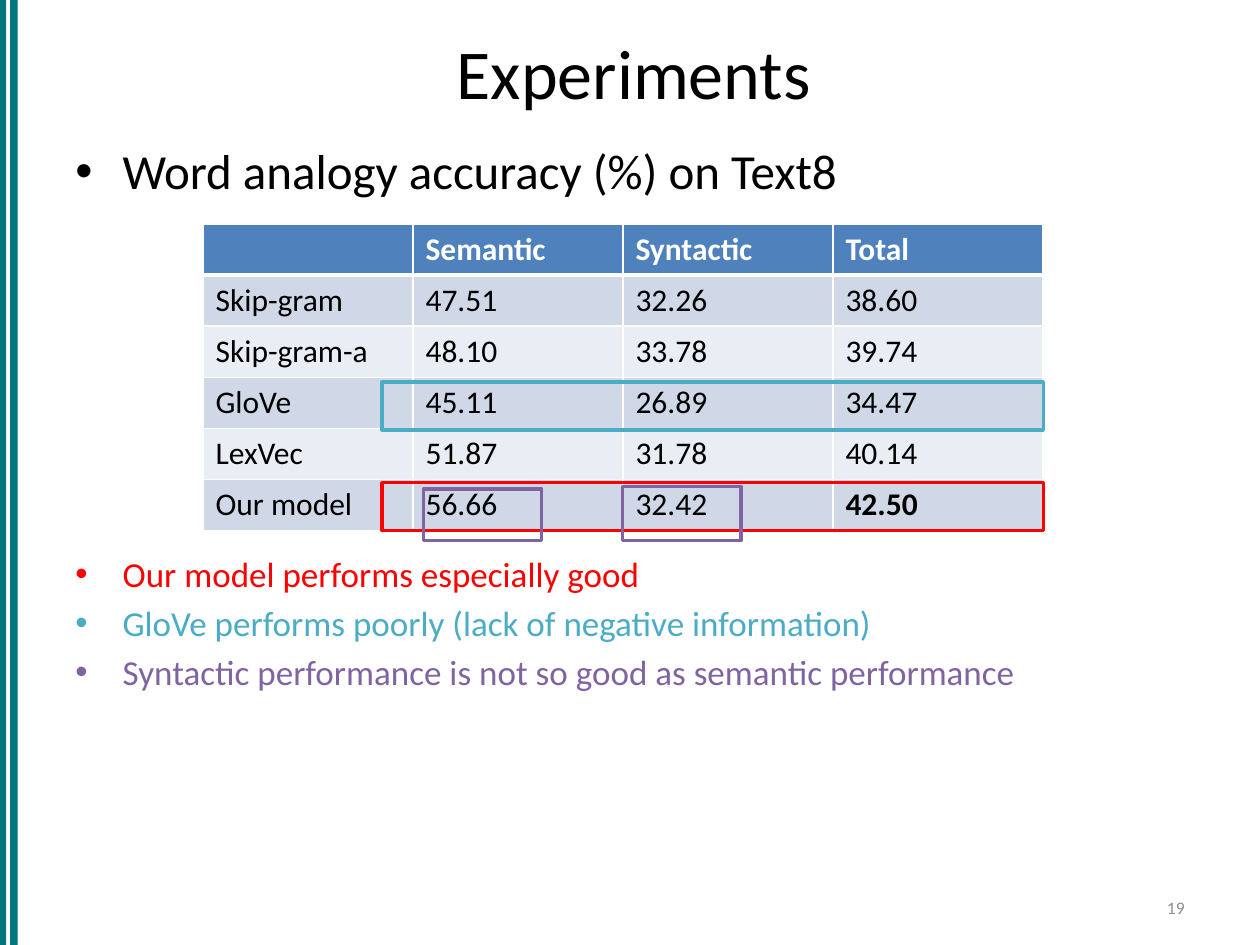
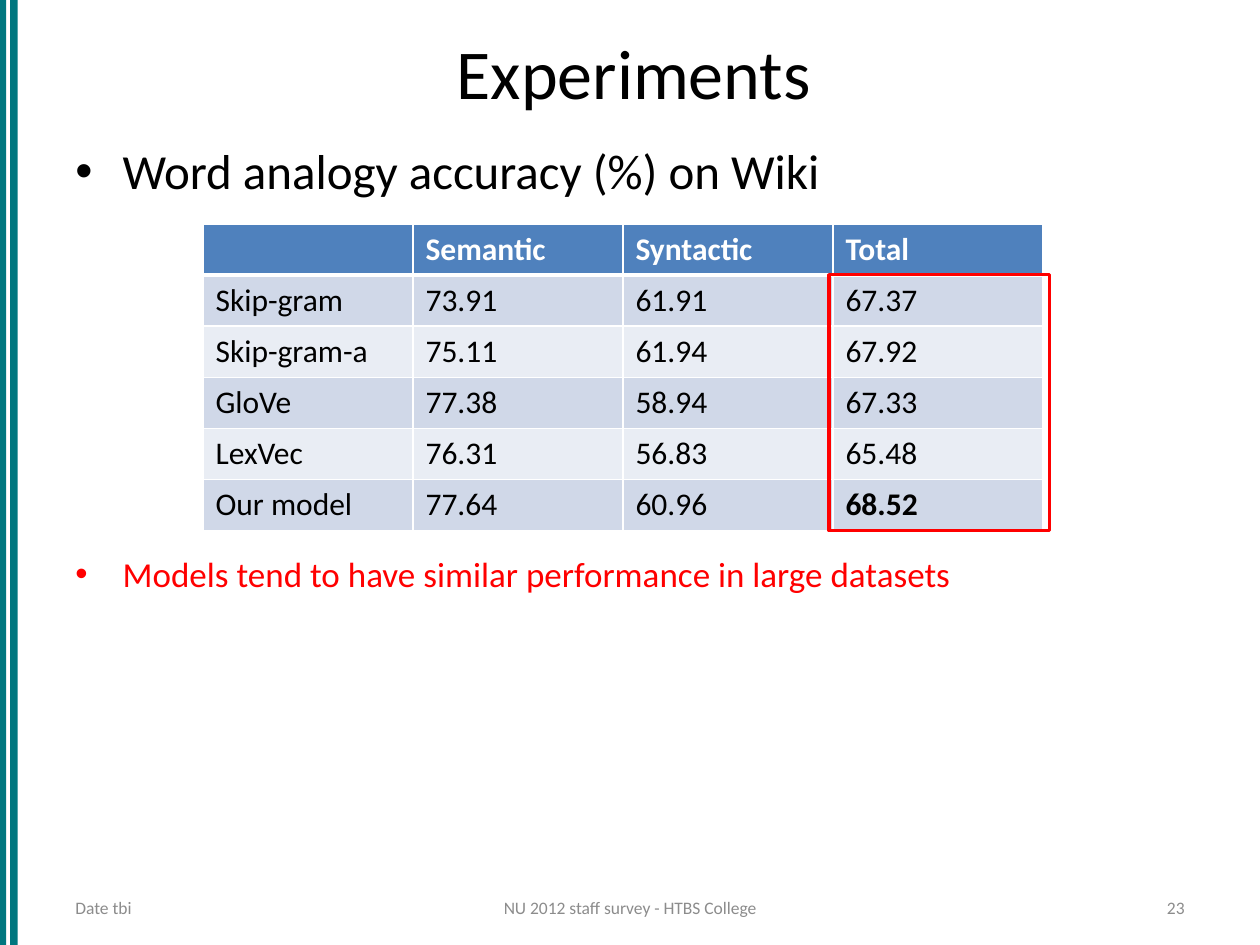
from lxml import etree
from pptx import Presentation
from pptx import util as u
from pptx.dml import color
from pptx.enum import shapes, text
from pptx.oxml import ns

FONT = "Calibri"
COLORS = {
    "band": "00777F", "black": "000000", "white": "FFFFFF", "footer": "8C8C8C",
    "header": "4F81BD", "odd_row": "D0D8E8", "even_row": "E9EDF4",
    "red": "FF0000", "aqua": "4BACC6", "purple": "8064A2",
}
MODELS = ["Skip-gram", "Skip-gram-a", "GloVe", "LexVec", "Our model"]
MEASURES = ["", "Semantic", "Syntactic", "Total"]
TABLE_LEFT, TABLE_TOP = 116, 128
COLUMN_WIDTH, ROW_HEIGHT = 120, 29.2
BULLET_INDENT = 27

TEXT8_SCORES = [
    ("47.51", "32.26", "38.60"),
    ("48.10", "33.78", "39.74"),
    ("45.11", "26.89", "34.47"),
    ("51.87", "31.78", "40.14"),
    ("56.66", "32.42", "42.50"),
]
WIKI_SCORES = [
    ("73.91", "61.91", "67.37"),
    ("75.11", "61.94", "67.92"),
    ("77.38", "58.94", "67.33"),
    ("76.31", "56.83", "65.48"),
    ("77.64", "60.96", "68.52"),
]


def rgb(name):
    return color.RGBColor.from_string(COLORS[name])


def points(*lengths):
    return [u.Pt(length) for length in lengths]


def add_span(para, words, size, ink, bold=False):
    span = para.add_run()
    span.text = words
    span.font.name = FONT
    span.font.size = u.Pt(size)
    span.font.bold = bold
    span.font.color.rgb = rgb(ink)


def add_text_frame(page, area, anchor):
    frame = page.shapes.add_textbox(*points(*area)).text_frame
    frame.word_wrap = True
    frame.vertical_anchor = anchor
    return frame


def add_line_of_text(page, area, words, size, ink, align):
    """Add one vertically centred paragraph in its own box."""
    para = add_text_frame(page, area, text.MSO_ANCHOR.MIDDLE).paragraphs[0]
    para.alignment = align
    add_span(para, words, size, ink)


def add_bullets(page, area, size, items):
    """Add a bulleted list from (words, ink) pairs."""
    frame = add_text_frame(page, area, text.MSO_ANCHOR.TOP)
    for index, (words, ink) in enumerate(items):
        para = frame.add_paragraph() if index else frame.paragraphs[0]
        if index:
            para.space_before = u.Pt(size * 0.2)
        properties = para._p.get_or_add_pPr()
        properties.set("marL", str(u.Pt(BULLET_INDENT)))
        properties.set("indent", str(-u.Pt(BULLET_INDENT)))
        bullet_font = etree.SubElement(properties, ns.qn("a:buFont"))
        bullet_font.set("typeface", "Arial")
        etree.SubElement(properties, ns.qn("a:buChar")).set("char", "•")
        add_span(para, words, size, ink)


def add_rectangle(page, area):
    box = page.shapes.add_shape(shapes.MSO_SHAPE.RECTANGLE, *points(*area))
    box.shadow.inherit = False
    return box


def add_band(page, left):
    band = add_rectangle(page, (left, 0, 4.3, 540))
    band.fill.solid()
    band.fill.fore_color.rgb = rgb("band")
    band.line.fill.background()


def add_highlight(page, area, ink):
    frame = add_rectangle(page, area)
    frame.fill.background()
    frame.line.color.rgb = rgb(ink)
    frame.line.width = u.Pt(2)


def set_borders(cell, widths):
    """Draw white borders; widths maps left, right, top, bottom tags to points."""
    properties = cell._tc.get_or_add_tcPr()
    for tag, width in widths.items():
        border = etree.SubElement(properties, ns.qn(f"a:{tag}"))
        border.set("w", str(u.Pt(width)))
        fill = etree.SubElement(border, ns.qn("a:solidFill"))
        etree.SubElement(fill, ns.qn("a:srgbClr")).set("val", COLORS["white"])


def add_score_table(page, scores):
    rows = [MEASURES] + [[model, *values] for model, values in zip(MODELS, scores)]
    area = (TABLE_LEFT, TABLE_TOP, COLUMN_WIDTH * len(MEASURES), ROW_HEIGHT * len(rows))
    table = page.shapes.add_table(len(rows), len(MEASURES), *points(*area)).table
    table.first_row = table.horz_banding = False
    for r, row in enumerate(rows):
        table.rows[r].height = u.Pt(ROW_HEIGHT)
        fill = "header" if r == 0 else "odd_row" if r % 2 else "even_row"
        for c, words in enumerate(row):
            cell = table.cell(r, c)
            set_borders(cell, {"lnL": 1, "lnR": 1, "lnT": 3 if r == 1 else 1,
                               "lnB": 3 if r == 0 else 1})
            cell.fill.solid()
            cell.fill.fore_color.rgb = rgb(fill)
            is_best = r == len(rows) - 1 and c == len(row) - 1
            if words:
                add_span(cell.text_frame.paragraphs[0], words, 18,
                         "white" if r == 0 else "black", r == 0 or is_best)


def add_footer(page, left, width, words, align):
    add_line_of_text(page, (left, 508.3, width, 20.9), words, 10, "footer", align)


def add_experiment_page(deck, number, dataset, scores, findings):
    page = deck.slides.add_slide(deck.slide_layouts[6])
    for left in (5.8, -0.7):
        add_band(page, left)
    add_line_of_text(page, (36, 9.4, 652.3, 62.6), "Experiments", 40, "black",
                     text.PP_ALIGN.CENTER)
    add_bullets(page, (36, 77, 652.3, 44), 28,
                [(f"Word analogy accuracy (%) on {dataset}", "black")])
    add_score_table(page, scores)
    add_bullets(page, (36, 312, 652.3, 190), 20, findings)
    add_footer(page, 516, 168, str(number), text.PP_ALIGN.RIGHT)
    return page


def main():
    deck = Presentation()
    deck.slide_width, deck.slide_height = points(720, 540)

    page = add_experiment_page(deck, 19, "Text8", TEXT8_SCORES, [
        ("Our model performs especially good", "red"),
        ("GloVe performs poorly (lack of negative information)", "aqua"),
        ("Syntactic performance is not so good as semantic performance", "purple"),
    ])
    for top, ink in ((275.8, "red"), (218.2, "aqua")):
        add_highlight(page, (218.2, top, 378, 27.4), ink)
    add_highlight(page, (355.7, 277.9, 67.7, 31), "purple")
    add_highlight(page, (241.9, 279.4, 67.7, 29.5), "purple")

    page = add_experiment_page(deck, 23, "Wiki", WIKI_SCORES, [
        ("Models tend to have similar performance in large datasets", "red"),
    ])
    add_footer(page, 36, 168, "Date tbi", text.PP_ALIGN.LEFT)
    add_footer(page, 246, 228, "NU 2012 staff survey - HTBS College",
               text.PP_ALIGN.CENTER)
    add_highlight(page, (473.8, 157, 126, 146.2), "red")

    deck.save("out.pptx")


if __name__ == "__main__":
    main()
